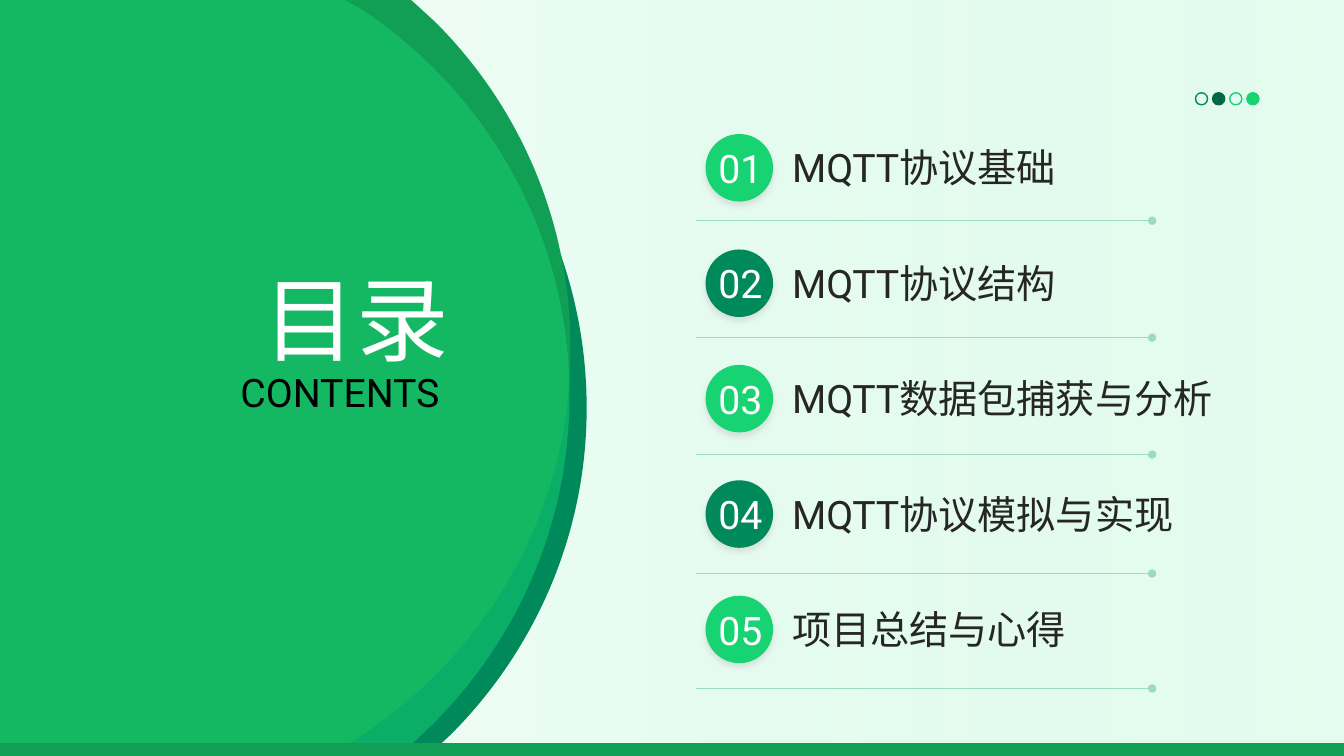
from dataclasses import dataclass

from lxml import etree
from pptx import Presentation
from pptx.dml.color import RGBColor
from pptx.enum.shapes import MSO_CONNECTOR, MSO_SHAPE
from pptx.enum.text import MSO_ANCHOR, MSO_AUTO_SIZE, PP_ALIGN
from pptx.oxml.ns import qn
from pptx.util import Pt

RECTANGLE, OVAL = MSO_SHAPE.RECTANGLE, MSO_SHAPE.OVAL
STRAIGHT = MSO_CONNECTOR.STRAIGHT
TOP, MIDDLE = MSO_ANCHOR.TOP, MSO_ANCHOR.MIDDLE
LEFT, CENTER, RIGHT = PP_ALIGN.LEFT, PP_ALIGN.CENTER, PP_ALIGN.RIGHT
NO_AUTOFIT = MSO_AUTO_SIZE.NONE

EMU_PER_PX = 9144
HEIGHT = 750
WIDTH = HEIGHT * 16 / 9


@dataclass(frozen=True)
class Theme:
    font: str = "Roboto"
    title_size: int = 66
    text_size: int = 28
    white: str = "FFFFFF"
    black: str = "000000"
    ink: str = "262626"
    mint: str = "CDFAE2"
    bright: str = "17D371"
    teal: str = "008A5C"
    green: str = "119E55"
    forest: str = "006845"
    rule: str = "9CDBC1"
    shadow: str = "BFBFBF"


THEME = Theme()

TOPICS = [
    ("MQTT协议基础", 219),
    ("MQTT协议结构", 335),
    ("MQTT数据包捕获与分析", 451),
    ("MQTT协议模拟与实现", 569),
    ("项目总结与心得", 683),
]
FIRST_BADGE_TOP, BADGE_STEP, BADGE_SIZE = 133, 114.5, 67

DISCS = [
    ([(0, 0), (339, 0), (342, 1)],
     [((485, 79), (582, 230), (582, 405)), ((582, 531), (530, 646), (447, 729))],
     [(422, 752), (0, 752)], THEME.teal, 100),
    ([(0, 0), (408, 0), (432, 22)],
     [((515, 105), (566, 219), (566, 346)), ((566, 520), (469, 671), (326, 749))],
     [(319, 752), (0, 752)], THEME.green, 100),
    ([(-1, -2), (339, -2), (363, 12)],
     [((485, 95), (565, 234), (565, 392)), ((565, 535), (500, 662), (399, 746))],
     [(394, 750), (-1, 750)], THEME.bright, 50),
]

DOTS = [(THEME.teal, False), (THEME.forest, True), (THEME.bright, False), (THEME.bright, True)]


def px(*lengths):
    return [round(length * EMU_PER_PX) for length in lengths]


def rgb(color):
    return RGBColor.from_string(color)


def set_alpha(shape, percent):
    color = shape.element.spPr.findall(".//" + qn("a:srgbClr"))[-1]
    etree.SubElement(color, qn("a:alpha"), val=str(percent * 1000))


def paint(shape, fill=None, line=None):
    shape.shadow.inherit = False
    if fill:
        shape.fill.solid()
        shape.fill.fore_color.rgb = rgb(fill)
    else:
        shape.fill.background()
    if line:
        shape.line.color.rgb = rgb(line)
        shape.line.width = Pt(1)
    else:
        shape.line.fill.background()


def add_figure(shapes, kind, bounds, fill=None, line=None):
    shape = shapes.add_shape(kind, *px(*bounds))
    paint(shape, fill, line)
    return shape


def write(shape, text, color, align, anchor, size=THEME.text_size):
    frame = shape.text_frame
    frame.text = text
    frame.word_wrap = True
    frame.auto_size = NO_AUTOFIT
    frame.vertical_anchor = anchor
    para = frame.paragraphs[0]
    para.alignment = align
    para.space_before = Pt(0)
    para.font.name = THEME.font
    para.font.size = Pt(size)
    para.font.color.rgb = rgb(color)


def add_text(slide, bounds, text, color, align):
    box = slide.shapes.add_textbox(*px(*bounds))
    write(box, text, color, align, MIDDLE)


def place(slide, holder, bounds):
    holder.left, holder.top, holder.width, holder.height = px(*bounds)
    slide.shapes.element.append(holder.element)


def add_background(slide):
    tint = add_figure(slide.shapes, RECTANGLE, (0, 0, WIDTH, HEIGHT), THEME.mint)
    set_alpha(tint, 40)
    fade = add_figure(slide.shapes, RECTANGLE, (-1, 0, WIDTH + 2, HEIGHT))
    fade.fill.gradient()
    fade.fill.gradient_angle = 0
    for stop, color in zip(fade.fill.gradient_stops, (THEME.white, THEME.mint)):
        stop.color.rgb = rgb(color)
    set_alpha(fade, 20)


def bend(disc, segment, controls):
    segment.tag = qn("a:cubicBezTo")
    for index, control in enumerate(controls):
        x, y = px(*control)
        point = etree.Element(qn("a:pt"), x=str(x - disc.left), y=str(y - disc.top))
        segment.insert(index, point)


def add_disc(slide, head, curves, tail, color, opacity):
    points = head + [end for *controls, end in curves] + tail
    outline = [tuple(px(*point)) for point in points]
    builder = slide.shapes.build_freeform(*outline[0])
    builder.add_line_segments(outline[1:], close=True)
    disc = builder.convert_to_shape()
    segments = disc.element.spPr.findall(".//" + qn("a:lnTo"))
    for segment, (*controls, end) in zip(segments[len(head) - 1:], curves):
        bend(disc, segment, controls)
    paint(disc, color)
    if opacity < 100:
        set_alpha(disc, opacity)


def add_badge(slide, number, top):
    color = THEME.bright if number % 2 else THEME.teal
    badge = add_figure(slide.shapes, OVAL, (700, top, BADGE_SIZE, BADGE_SIZE), color)
    effects = badge.element.spPr.find(qn("a:effectLst"))
    shadow = etree.SubElement(effects, qn("a:outerShdw"), blurRad=str(Pt(4)),
                              dist=str(Pt(3)), dir="5400000", algn="t", rotWithShape="0")
    tone = etree.SubElement(shadow, qn("a:srgbClr"), val=THEME.shadow)
    etree.SubElement(tone, qn("a:alpha"), val="40000")
    add_text(slide, (687, top, 95, BADGE_SIZE), f"{number:02d}", THEME.white, CENTER)


def add_rule(slide, top):
    rule = slide.shapes.add_connector(STRAIGHT, *px(690, top, 1143, top))
    rule.line.color.rgb = rgb(THEME.rule)
    rule.line.width = Pt(1)
    properties = rule.element.spPr
    etree.SubElement(properties.find(qn("a:ln")), qn("a:tailEnd"), type="oval")
    etree.SubElement(properties, qn("a:effectLst"))


def add_topic(slide, index, topic, rule_top):
    top = FIRST_BADGE_TOP + index * BADGE_STEP
    add_badge(slide, index + 1, top)
    add_text(slide, (776, top - 4, 483, 74), topic, THEME.ink, LEFT)
    add_rule(slide, rule_top)


def add_dots(slide):
    group = slide.shapes.add_group_shape()
    for index, (color, filled) in enumerate(DOTS):
        add_figure(group.shapes, OVAL, (1186 + index * 17, 92, 12, 12), color if filled else None, color)


def main():
    deck = Presentation()
    deck.slide_width, deck.slide_height = px(WIDTH, HEIGHT)
    slide = deck.slides.add_slide(deck.slide_layouts[0])
    title, subtitle = slide.placeholders

    add_background(slide)
    for disc in DISCS:
        add_disc(slide, *disc)
    add_figure(slide.shapes, RECTANGLE, (-1, 738, WIDTH + 1, 12), THEME.green, THEME.green)

    place(slide, title, (151, 255, 304, 102))
    write(title, "目录", THEME.white, RIGHT, TOP, THEME.title_size)
    place(slide, subtitle, (65, 360, 381, 49))
    write(subtitle, "CONTENTS", THEME.black, RIGHT, TOP)

    for index, (topic, rule_top) in enumerate(TOPICS):
        add_topic(slide, index, topic, rule_top)
    add_dots(slide)
    deck.save("out.pptx")


if __name__ == "__main__":
    main()
